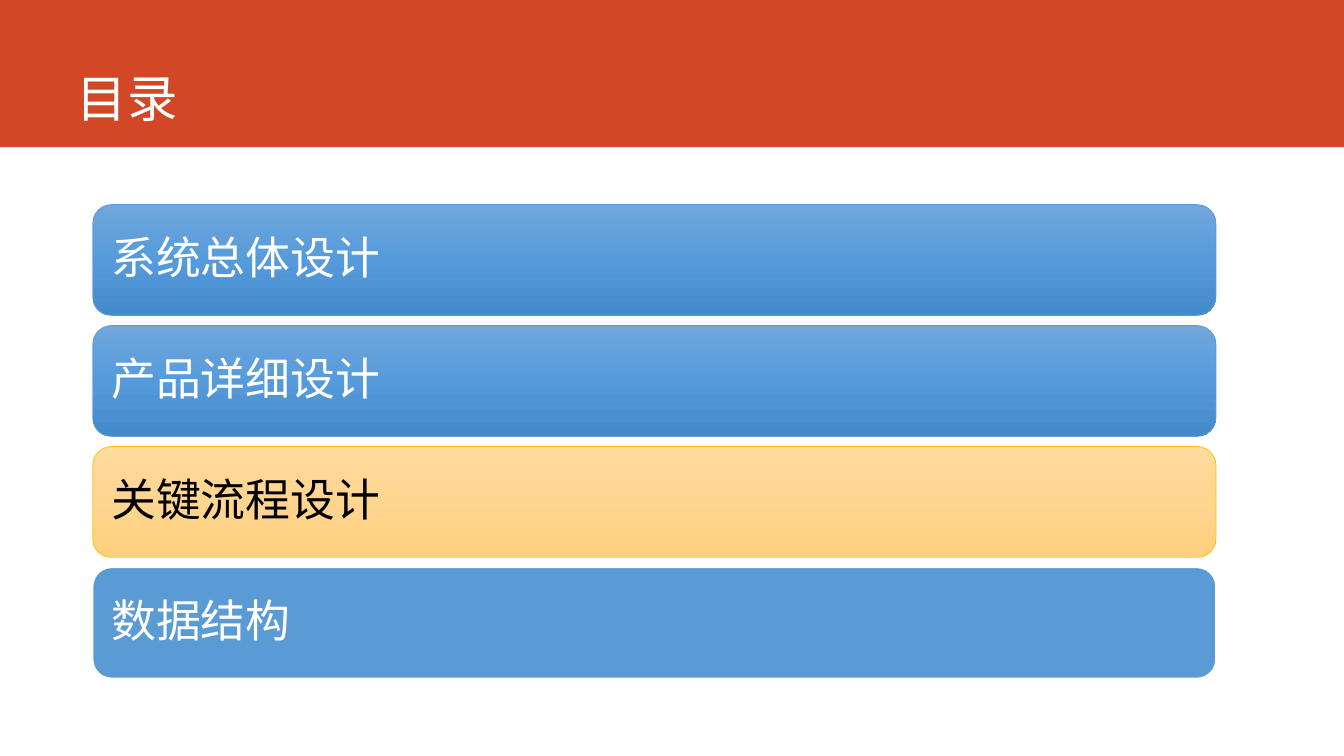
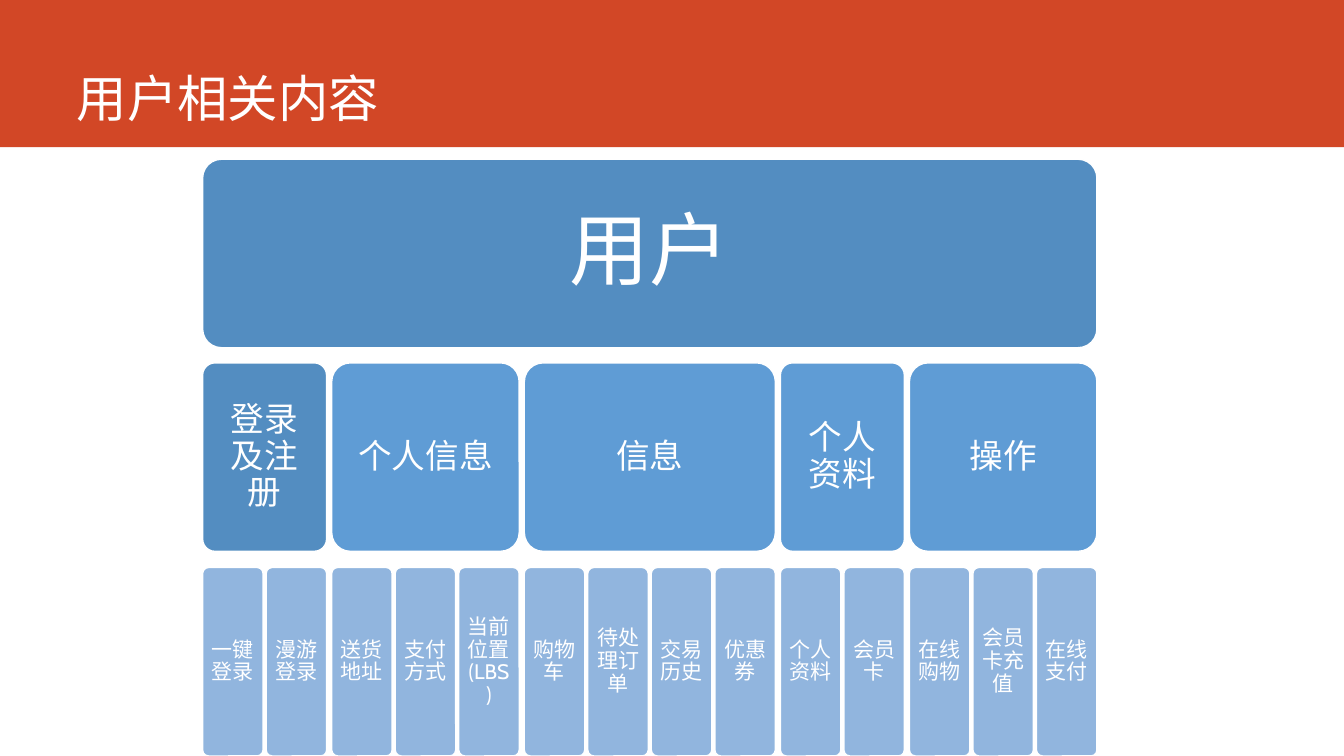
from copy import deepcopy

from pptx import Presentation
from pptx.dml.color import RGBColor
from pptx.enum import shapes, text
from pptx.oxml import ns
from pptx.util import Inches, Pt

TITLE_FONT, BODY_FONT = "Noto Sans CJK SC", "Cabin"
WHITE, BLACK = "FFFFFF", "000000"
BAND_RED, BLUE, DARK_BLUE, GROUP_BLUE, PALE_BLUE = "D24726", "5B9BD5", "538DC1", "5F9CD5", "91B5DE"
GOLD = "FFC000"
BLUE_GRADIENT = ("71A6DB", "559BDB", "448ACA")
GOLD_GRADIENT = ("FFDB9E", "FFD590", "FFD07C")


def style_text(shape, wording, size, color, font, align):
    shape.text_frame.text = wording
    paragraph = shape.text_frame.paragraphs[0]
    paragraph.alignment = align
    paragraph.line_spacing = 0.9
    run = paragraph.runs[0]
    run.font.size = Pt(size)
    run.font.name = font
    run.font.color.rgb = RGBColor.from_string(color)
    east_asian = run.font._element.makeelement(ns.qn("a:ea"), {"typeface": font})
    run.font._element.find(ns.qn("a:latin")).addnext(east_asian)


def add_box(slide, box, wording, size, fill, inset, line=(WHITE, 1), corner=0.1,
            color=WHITE, align=text.PP_ALIGN.CENTER):
    """Add a rounded box; a tuple of colours as fill makes a vertical gradient."""
    shape = slide.shapes.add_shape(shapes.MSO_SHAPE.ROUNDED_RECTANGLE, *map(Inches, box))
    shape.shadow.inherit = False
    shape.adjustments[0] = corner
    if isinstance(fill, tuple):
        shape.fill.gradient()
        shape.fill.gradient_angle = 270
        stops = shape._element.spPr.find(".//" + ns.qn("a:gsLst"))
        stops.insert(1, deepcopy(stops[0]))
        for number, (stop, shade) in enumerate(zip(shape.fill.gradient_stops, fill)):
            stop.color.rgb = RGBColor.from_string(shade)
            stop.position = number / 2
    else:
        shape.fill.solid()
        shape.fill.fore_color.rgb = RGBColor.from_string(fill)
    shape.line.color.rgb = RGBColor.from_string(line[0])
    shape.line.width = Pt(line[1])
    frame = shape.text_frame
    frame.word_wrap = True
    frame.vertical_anchor = text.MSO_ANCHOR.MIDDLE
    frame.margin_left = frame.margin_right = Inches(inset)
    frame.margin_top = frame.margin_bottom = Inches(inset)
    style_text(shape, wording, size, color, BODY_FONT, align)


prs = Presentation()
prs.slide_width, prs.slide_height = Inches(13.33), Inches(7.5)

# Shared layout: red band behind a bottom-anchored title
layout = prs.slide_layouts[5]
title_area = layout.placeholders[0]
title_area.left, title_area.top = Inches(0.66), Inches(0)
title_area.width, title_area.height = Inches(11.76), Inches(1.32)
title_area.text_frame.vertical_anchor = text.MSO_ANCHOR.BOTTOM

contents, users = (prs.slides.add_slide(layout) for _ in range(2))
band = contents.shapes.add_shape(shapes.MSO_SHAPE.RECTANGLE, 0, 0, prs.slide_width, Inches(1.46))
band.shadow.inherit = False
band.fill.solid()
band.fill.fore_color.rgb = RGBColor.from_string(BAND_RED)
band.line.fill.background()
band._element.nvSpPr.cNvPr.set("id", "20")
layout.shapes._spTree.insert(2, band._element)

for slide, heading in ((contents, "目录"), (users, "用户相关内容")):
    style_text(slide.shapes.title, heading, 36, WHITE, TITLE_FONT, text.PP_ALIGN.LEFT)

# Contents: four chapters, the current one in gold
chapters = [
    ("系统总体设计", BLUE_GRADIENT, (BLUE, 0.5), WHITE),
    ("产品详细设计", BLUE_GRADIENT, (BLUE, 0.5), WHITE),
    ("关键流程设计", GOLD_GRADIENT, (GOLD, 0.5), BLACK),
    ("数据结构", BLUE, (WHITE, 1), WHITE),
]
for row, (chapter, fill, line, color) in enumerate(chapters):
    add_box(contents, (0.92, 2.03 + row * 1.2, 11.14, 1.1), chapter, 32, fill, 0.13,
            line, 0.17, color, text.PP_ALIGN.LEFT)

# Users: one root, its groups, and the features below each group
groups = [
    ("登录及注册", DARK_BLUE, ["一键登录", "漫游登录"]),
    ("个人信息", GROUP_BLUE, ["送货地址", "支付方式", "当前位置(LBS)"]),
    ("信息", GROUP_BLUE, ["购物车", "待处理订单", "交易历史", "优惠券"]),
    ("个人资料", GROUP_BLUE, ["个人资料", "会员卡"]),
    ("操作", GROUP_BLUE, ["在线购物", "会员卡充值", "在线支付"]),
]
TREE_LEFT, TIER_HEIGHT = 2.01, 1.87
ROOT_TOP, GROUP_TOP, FEATURE_TOP = 1.58, 3.6, 5.63
FEATURE_WIDTH, FEATURE_GAP, GROUP_GAP = 0.6, 0.03, 0.05
pitch = FEATURE_WIDTH + FEATURE_GAP

left = TREE_LEFT
for group, fill, features in groups:
    width = len(features) * pitch - FEATURE_GAP
    add_box(users, (left, GROUP_TOP, width, TIER_HEIGHT), group, 24, fill, 0.1)
    for column, feature in enumerate(features):
        add_box(users, (left + column * pitch, FEATURE_TOP, FEATURE_WIDTH, TIER_HEIGHT),
                feature, 15, PALE_BLUE, 0.06)
    left += width + GROUP_GAP
add_box(users, (TREE_LEFT, ROOT_TOP, left - GROUP_GAP - TREE_LEFT, TIER_HEIGHT),
        "用户", 57, DARK_BLUE, 0.24)

prs.save("out.pptx")
